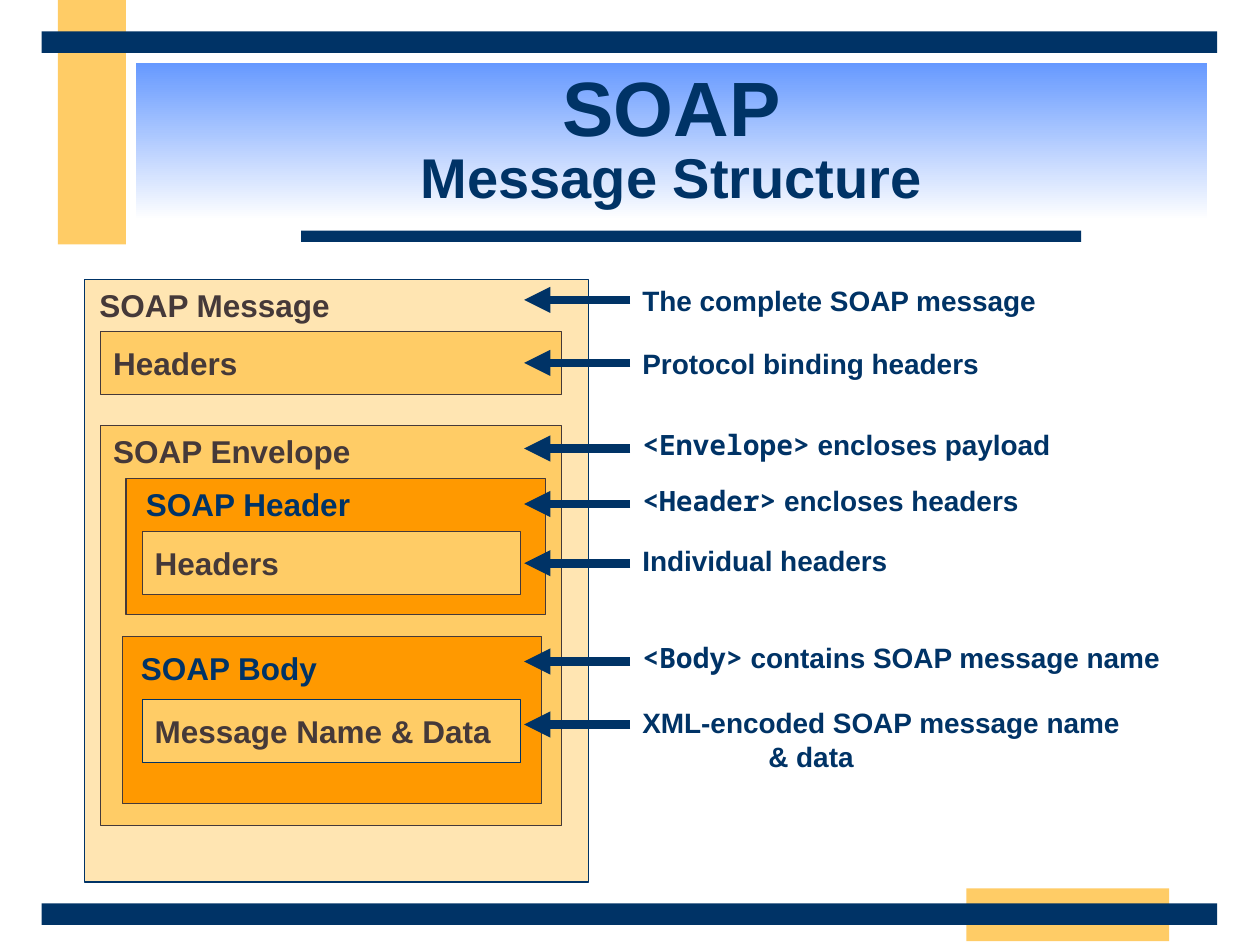
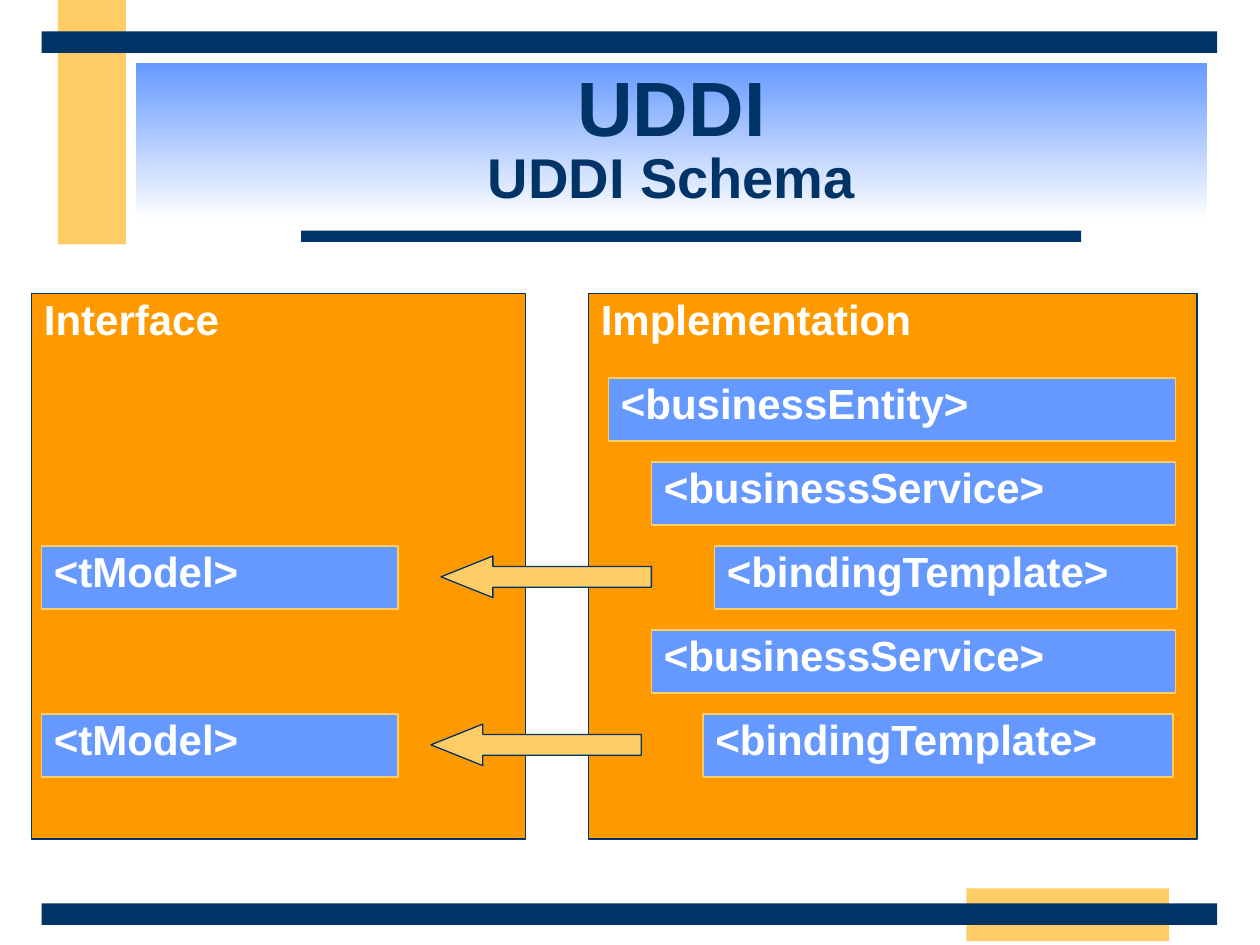
from dataclasses import dataclass

from lxml import etree
from pptx import Presentation
from pptx.dml.color import RGBColor
from pptx.enum.shapes import MSO_CONNECTOR, MSO_SHAPE
from pptx.enum.text import MSO_ANCHOR, MSO_AUTO_SIZE, PP_ALIGN
from pptx.oxml.ns import qn
from pptx.util import Inches, Pt

RECTANGLE, LEFT_ARROW = MSO_SHAPE.RECTANGLE, MSO_SHAPE.LEFT_ARROW
STRAIGHT = MSO_CONNECTOR.STRAIGHT
TOP, MIDDLE = MSO_ANCHOR.TOP, MSO_ANCHOR.MIDDLE
CENTER, LEFT = PP_ALIGN.CENTER, PP_ALIGN.LEFT
NO_AUTOFIT = MSO_AUTO_SIZE.NONE
TITLE_ONLY = 5


@dataclass(frozen=True)
class Theme:
    navy: str = "003366"
    sand: str = "FFCC66"
    orange: str = "FF9900"
    blue: str = "6699FF"
    brown: str = "453939"
    white: str = "FFFFFF"
    font: str = "Arial"
    code_font: str = "Noto Sans Mono"
    title: int = 44
    subtitle: int = 32
    schema: int = 24
    label: int = 18
    note: int = 16


THEME = Theme()


@dataclass(frozen=True)
class Area:
    left: float
    top: float
    width: float
    height: float

    def lengths(self) -> tuple:
        return tuple(Inches(n) for n in (self.left, self.top, self.width, self.height))


@dataclass(frozen=True)
class Frame:
    area: Area
    fill: str
    line: str | None = None
    text: str = ""
    opacity: int = 100


@dataclass(frozen=True)
class Label:
    left: float
    top: float
    text: str
    color: str


@dataclass(frozen=True)
class Note:
    top: float
    arrow_y: float
    text: str
    code: str = ""


# Decoration shared by both slides
BANDS = [
    Frame(Area(0.46, 0, 0.54, 1.94), THEME.sand),
    Frame(Area(7.67, 7.05, 1.61, 0.42), THEME.sand),
    Frame(Area(2.39, 1.83, 6.19, 0.09), THEME.navy),
    Frame(Area(0.33, 7.17, 9.33, 0.17), THEME.navy),
    Frame(Area(0.33, 0.25, 9.33, 0.17), THEME.navy),
]
TITLE_AREA = Area(1.08, 0.5, 8.5, 1.25)

# SOAP message: nested frames, their labels, and the notes beside them
MESSAGE_FRAMES = [
    Frame(Area(0.67, 2.22, 4, 4.78), THEME.sand, THEME.navy, opacity=50),
    Frame(Area(0.8, 3.38, 3.66, 3.17), THEME.sand, THEME.brown),
    Frame(Area(1, 3.8, 3.33, 1.08), THEME.orange, THEME.brown),
    Frame(Area(0.97, 5.05, 3.33, 1.33), THEME.orange, THEME.brown),
    Frame(Area(1.13, 5.55, 3, 0.5), THEME.sand, THEME.navy, "Message Name & Data"),
    Frame(Area(1.13, 4.22, 3, 0.5), THEME.sand, THEME.brown, "Headers"),
    Frame(Area(0.8, 2.63, 3.66, 0.5), THEME.sand, THEME.brown, "Headers"),
]
MESSAGE_LABELS = [
    Label(0.69, 2.17, "SOAP Message", THEME.brown),
    Label(0.8, 3.33, "SOAP Envelope", THEME.brown),
    Label(1.06, 3.75, "SOAP Header", THEME.navy),
    Label(1.02, 5.05, "SOAP Body", THEME.navy),
]
MESSAGE_NOTES = [
    Note(2.13, 2.38, "The complete SOAP message"),
    Note(2.63, 2.88, "Protocol binding headers"),
    Note(3.28, 3.56, " encloses payload", "<Envelope>"),
    Note(3.72, 4, " encloses headers", "<Header>"),
    Note(4.2, 4.47, "Individual headers"),
    Note(4.97, 5.25, " contains SOAP message name", "<Body>"),
    Note(5.62, 5.75, "XML-encoded SOAP message name\v\t& data"),
]
NOTE_LEFT, NOTE_WIDTH, ARROW_TIP = 5, 4.5, 4.16

# UDDI schema: panels and entries on an even row grid
PANELS = [
    Frame(Area(0.25, 2.33, 3.92, 4.33), THEME.orange, THEME.navy, "Interface"),
    Frame(Area(4.67, 2.33, 4.83, 4.33), THEME.orange, THEME.navy, "Implementation"),
]
FIRST_ROW, ROW_STEP, ROW_HEIGHT = 3, 2 / 3, 0.5
ENTRIES = [  # row, left, width, text
    (0, 4.83, 4.5, "<businessEntity>"),
    (1, 5.17, 4.16, "<businessService>"),
    (2, 5.67, 3.67, "<bindingTemplate>"),
    (3, 5.17, 4.16, "<businessService>"),
    (4, 5.58, 3.73, "<bindingTemplate>"),
    (2, 0.33, 2.83, "<tModel>"),
    (4, 0.33, 2.83, "<tModel>"),
]
LINK_ARROWS = [(2, 3.5), (4, 3.42)]  # row, left


def rgb(color: str) -> RGBColor:
    return RGBColor.from_string(color)


def style_font(font, size: int, color: str) -> None:
    font.name, font.size, font.bold = THEME.font, Pt(size), True
    font.color.rgb = rgb(color)


def write(shape, text: str, size: int, color: str, anchor=MIDDLE, inset: float = 0.05):
    """Put one left-aligned paragraph in a shape and return it."""
    frame = shape.text_frame
    frame.word_wrap = True
    frame.vertical_anchor = anchor
    frame.margin_top = frame.margin_bottom = Inches(inset)
    para = frame.paragraphs[0]
    para.alignment = LEFT
    if "\t" in text:
        tabs = etree.SubElement(para._p.get_or_add_pPr(), qn("a:tabLst"))
        etree.SubElement(tabs, qn("a:tab"), pos=str(Inches(1)), algn="l")
    style_font(para.font, size, color)
    para.text = text
    return para


def draw_frame(page, item: Frame, preset=RECTANGLE, line_width: float = 0.75):
    shape = page.shapes.add_shape(preset, *item.area.lengths())
    shape.shadow.inherit = False
    shape.fill.solid()
    shape.fill.fore_color.rgb = rgb(item.fill)
    if item.opacity < 100:
        color = shape.fill._xPr.find(qn("a:solidFill"))[0]
        etree.SubElement(color, qn("a:alpha"), val=str(item.opacity * 1000))
    if item.line:
        shape.line.color.rgb = rgb(item.line)
        shape.line.width = Pt(line_width)
    else:
        shape.line.fill.background()
    return shape


def draw_note(page, note: Note) -> None:
    area = Area(NOTE_LEFT, note.top, NOTE_WIDTH, 0.5)
    box = page.shapes.add_textbox(*area.lengths())
    para = write(box, note.code or note.text, THEME.note, THEME.navy)
    if note.code:
        para.runs[0].font.name = THEME.code_font
        span = para.add_run()
        span.text = note.text

    y = Inches(note.arrow_y)
    arrow = page.shapes.add_connector(STRAIGHT, Inches(NOTE_LEFT), y, Inches(ARROW_TIP), y)
    arrow.line.color.rgb = rgb(THEME.navy)
    arrow.line.width = Pt(5)
    etree.SubElement(arrow.line._get_or_add_ln(), qn("a:tailEnd"), type="triangle")
    etree.SubElement(arrow._element.spPr, qn("a:effectLst"))


def add_page(deck, heading: str, subheading: str):
    """Add a slide with the shared bands and gradient title."""
    page = deck.slides.add_slide(deck.slide_layouts[TITLE_ONLY])
    for band in BANDS:
        draw_frame(page, band)

    title = page.shapes.title
    title.left, title.top, title.width, title.height = TITLE_AREA.lengths()
    title.fill.gradient()
    title.fill.gradient_angle = 270
    for stop, color in zip(title.fill.gradient_stops, (THEME.blue, THEME.white)):
        stop.color.rgb = rgb(color)

    frame = title.text_frame
    frame.auto_size = NO_AUTOFIT
    frame.vertical_anchor = MIDDLE
    para = frame.paragraphs[0]
    para.alignment, para.line_spacing = CENTER, 0.85
    style_font(para.font, THEME.title, THEME.navy)
    para.text = f"{heading}\v{subheading}"
    para.runs[1].font.size = Pt(THEME.subtitle)
    return page


def build_message_page(deck) -> None:
    page = add_page(deck, "SOAP", "Message Structure")
    for item in MESSAGE_FRAMES:
        shape = draw_frame(page, item)
        if item.text:
            write(shape, item.text, THEME.label, THEME.brown)
    for label in MESSAGE_LABELS:
        area = Area(label.left, label.top, 2.66, 0.5)
        box = page.shapes.add_textbox(*area.lengths())
        write(box, label.text, THEME.label, label.color)
    for note in MESSAGE_NOTES:
        draw_note(page, note)


def build_schema_page(deck) -> None:
    page = add_page(deck, "UDDI", "UDDI Schema")
    entries = [
        Frame(Area(left, FIRST_ROW + row * ROW_STEP, width, ROW_HEIGHT),
              THEME.blue, THEME.sand, text)
        for row, left, width, text in ENTRIES
    ]
    for item in PANELS + entries:
        shape = draw_frame(page, item, line_width=1)
        write(shape, item.text, THEME.schema, THEME.white, TOP, 0)
    for row, left in LINK_ARROWS:
        area = Area(left, FIRST_ROW + row * ROW_STEP + 0.08, 1.67, 0.33)
        arrow = draw_frame(page, Frame(area, THEME.sand, THEME.navy), LEFT_ARROW)
        arrow.adjustments[0], arrow.adjustments[1] = 0.5, 1.25


def main() -> None:
    deck = Presentation()
    deck.slide_width, deck.slide_height = Inches(10), Inches(7.5)
    build_message_page(deck)
    build_schema_page(deck)
    deck.save("out.pptx")


if __name__ == "__main__":
    main()
